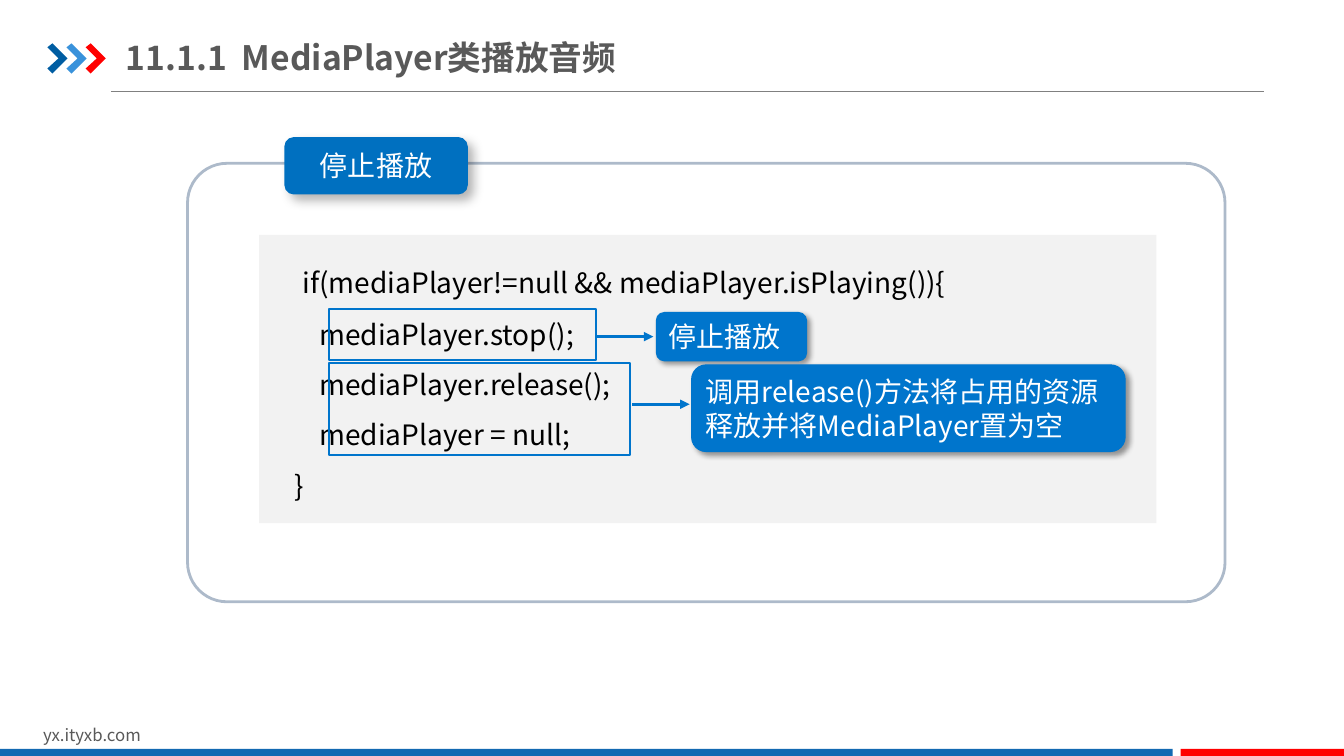
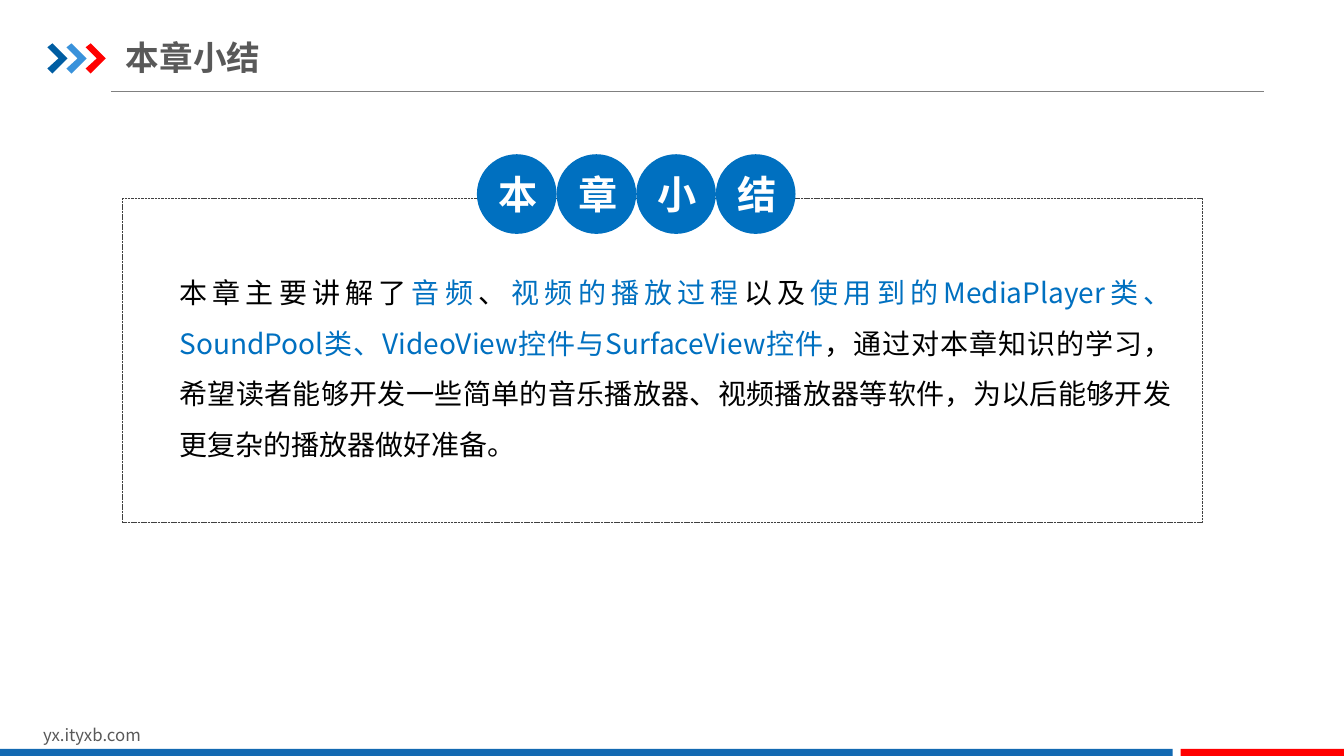
from lxml.etree import SubElement
from pptx import Presentation
from pptx.dml.color import RGBColor
from pptx.enum.dml import MSO_LINE
from pptx.enum.shapes import MSO_CONNECTOR, MSO_SHAPE
from pptx.enum.text import MSO_ANCHOR, PP_ALIGN
from pptx.oxml.ns import qn
from pptx.util import Inches, Pt

FONT = "Noto Sans CJK SC"
COLORS = {
    "white": "FFFFFF", "black": "000000", "text": "595959", "rule": "808080",
    "navy": "005DA2", "sky": "3992DB", "red": "FF0000", "band": "1369B2",
    "blue": "0070C0", "callout": "0075CC", "frame": "ADBACA",
    "code": "F2F2F2", "dash": "404040",
}

FOOTER = "yx.ityxb.com"
BANDS = [(0, 11.63, "band"), (11.71, 1.63, "red")]
CHEVRONS = ["navy", "sky", "red"]
CHEVRON_POINTS = [(0, 0.04), (0.05, 0), (0.2, 0.15), (0.05, 0.3), (0, 0.25), (0.11, 0.15)]

PLAYER_TITLE = "11.1.1\tMediaPlayer类播放音频"
STOP_LABEL = "停止播放"
CODE = [
    [("    ", {"size": 24, "font": "Times New Roman"}),
     ("if(mediaPlayer!=null && mediaPlayer.isPlaying()){", {})],
    "        mediaPlayer.stop();",
    "        mediaPlayer.release();",
    "        mediaPlayer = null;",
    "    }",
]
CALLOUTS = [
    {"note": "停止播放", "marked": (3.26, 3.07, 2.65, 0.5),
     "bubble": (6.51, 3.1, 1.49, 0.48), "arrow": (5.91, 6.48, 3.34)},
    {"note": "调用release()方法将占用的资源释放并将MediaPlayer置为空",
     "marked": (3.26, 3.6, 2.99, 0.91),
     "bubble": (6.86, 3.62, 4.3, 0.86), "arrow": (6.27, 6.84, 4.01)},
]

SUMMARY_TITLE = "本章小结"
HIGHLIGHT = {"color": "blue"}
SUMMARY = [
    ("本章主要讲解了", {}),
    ("音频", HIGHLIGHT),
    ("、", {}),
    ("视频的播放过程", HIGHLIGHT),
    ("以及", {}),
    ("使用到的MediaPlayer类、SoundPool类、VideoView控件与SurfaceView控件", HIGHLIGHT),
    ("，通过对本章知识的学习，希望读者能够开发一些简单的音乐播放器、视频播放器等软件，"
     "为以后能够开发更复杂的播放器做好准备。", {}),
]


def rgb(name):
    return RGBColor.from_string(COLORS[name])


def style_run(run, size=20, color="black", bold=False, font=FONT):
    run.font.size = Pt(size)
    run.font.bold = bold
    run.font.color.rgb = rgb(color)
    run.font.name = font
    SubElement(run.font._element, qn("a:ea"), typeface=font)


def write(shape, paragraphs, align=PP_ALIGN.LEFT, anchor=MSO_ANCHOR.TOP,
          insets=(0.1, 0.05), spacing=None, tab=None, **run_format):
    frame = shape.text_frame
    frame.word_wrap = True
    frame.vertical_anchor = anchor
    frame.margin_left = frame.margin_right = Inches(insets[0])
    frame.margin_top = frame.margin_bottom = Inches(insets[1])
    for index, runs in enumerate(paragraphs):
        paragraph = frame.add_paragraph() if index else frame.paragraphs[0]
        paragraph.alignment = align
        if spacing:
            paragraph.line_spacing = spacing
        if tab:
            stops = SubElement(paragraph._p.get_or_add_pPr(), qn("a:tabLst"))
            SubElement(stops, qn("a:tab"), pos=str(Inches(tab)), algn="l")
        for text, override in [(runs, {})] if isinstance(runs, str) else runs:
            run = paragraph.add_run()
            run.text = text
            style_run(run, **{**run_format, **override})


def paint(shape, fill=None, line=None, width=0.75, dash=None):
    shape.shadow.inherit = False
    if fill:
        shape.fill.solid()
        shape.fill.fore_color.rgb = rgb(fill)
    else:
        shape.fill.background()
    if line:
        shape.line.color.rgb = rgb(line)
        shape.line.width = Pt(width)
        if dash:
            shape.line.dash_style = dash
    else:
        shape.line.fill.background()
    return shape


def add_box(slide, kind, box, radius=None, **look):
    shape = slide.shapes.add_shape(kind, *map(Inches, box))
    if radius is not None:
        shape.adjustments[0] = radius
    return paint(shape, **look)


def add_text(slide, box, paragraphs, **text_format):
    write(slide.shapes.add_textbox(*map(Inches, box)), paragraphs, **text_format)


def cast_shadow(shape, opacity, blur, distance):
    effects = shape._element.spPr.find(qn("a:effectLst"))
    shadow = SubElement(effects, qn("a:outerShdw"), blurRad=str(Pt(blur)),
                        dist=str(Pt(distance)), dir="2700000", algn="tl", rotWithShape="0")
    tint = SubElement(shadow, qn("a:srgbClr"), val=COLORS["black"])
    SubElement(tint, qn("a:alpha"), val=str(opacity * 1000))


def add_line(slide, left, right, y, color, width, arrow=False):
    line = slide.shapes.add_connector(
        MSO_CONNECTOR.STRAIGHT, Inches(left), Inches(y), Inches(right), Inches(y))
    line.line.color.rgb = rgb(color)
    line.line.width = Pt(width)
    properties = line._element.spPr
    if arrow:
        SubElement(properties.find(qn("a:ln")), qn("a:tailEnd"), type="triangle")
    SubElement(properties, qn("a:effectLst"))


def add_chevron(slide, left, top, color):
    points = [(Inches(left + x), Inches(top + y)) for x, y in CHEVRON_POINTS]
    outline = slide.shapes.build_freeform(*points[0], scale=1.0)
    outline.add_line_segments(points[1:], close=True)
    paint(outline.convert_to_shape(), fill=color)


def new_slide(deck, title, tab=None):
    slide = deck.slides.add_slide(deck.slide_layouts[6])
    add_line(slide, 1.1, 12.54, 0.91, "rule", 0.75)
    for index, color in enumerate(CHEVRONS):
        add_chevron(slide, 0.47 + 0.19 * index, 0.43, color)
    add_text(slide, (0.33, 7.14, 3.18, 0.3), [FOOTER], size=12, color="text")
    for left, width, color in BANDS:
        add_box(slide, MSO_SHAPE.RECTANGLE, (left, 7.43, width, 0.09), fill=color)
    add_text(slide, (1.25, 0.29, 6.2, 0.55), [title], tab=tab, size=24, color="text",
             bold=True, anchor=MSO_ANCHOR.MIDDLE, insets=(0, 0.07))
    return slide


def build_player(deck):
    slide = new_slide(deck, PLAYER_TITLE, tab=1.15)
    add_box(slide, MSO_SHAPE.ROUNDED_RECTANGLE, (1.86, 1.62, 10.29, 4.35),
            radius=0.09, line="frame", width=2)
    label = add_box(slide, MSO_SHAPE.ROUNDED_RECTANGLE, (2.82, 1.36, 1.82, 0.57), fill="blue")
    cast_shadow(label, 30, 8, 6)
    write(label, [STOP_LABEL], color="white", align=PP_ALIGN.CENTER,
          anchor=MSO_ANCHOR.MIDDLE, insets=(0.2, 0.05))
    listing = add_box(slide, MSO_SHAPE.RECTANGLE, (2.57, 2.33, 8.9, 2.86), fill="code")
    write(listing, CODE, spacing=1.5)
    for callout in CALLOUTS:
        add_box(slide, MSO_SHAPE.RECTANGLE, callout["marked"], line="callout", width=1.5)
        bubble = add_box(slide, MSO_SHAPE.ROUNDED_RECTANGLE, callout["bubble"],
                         fill="callout", line="callout")
        cast_shadow(bubble, 40, 4, 3)
        write(bubble, [callout["note"]], color="white", anchor=MSO_ANCHOR.MIDDLE)
        add_line(slide, *callout["arrow"], "callout", 2.25, arrow=True)


def build_summary(deck):
    slide = new_slide(deck, SUMMARY_TITLE)
    add_box(slide, MSO_SHAPE.ROUNDED_RECTANGLE, (1.21, 1.97, 10.71, 3.21), radius=0,
            line="dash", width=0.25, dash=MSO_LINE.SQUARE_DOT)
    add_text(slide, (1.78, 2.57, 9.84, 2.02), [SUMMARY], align=PP_ALIGN.JUSTIFY,
             spacing=1.5, insets=(0, 0))
    diameter = 0.79
    for index, character in enumerate(SUMMARY_TITLE):
        circle = add_box(slide, MSO_SHAPE.OVAL,
                         (4.73 + diameter * index, 1.53, diameter, diameter), fill="blue")
        write(circle, [character], size=28, color="white", bold=True,
              align=PP_ALIGN.CENTER, anchor=MSO_ANCHOR.MIDDLE)


def main():
    deck = Presentation()
    deck.slide_width, deck.slide_height = Inches(13.33), Inches(7.5)
    build_player(deck)
    build_summary(deck)
    deck.save("out.pptx")


if __name__ == "__main__":
    main()
